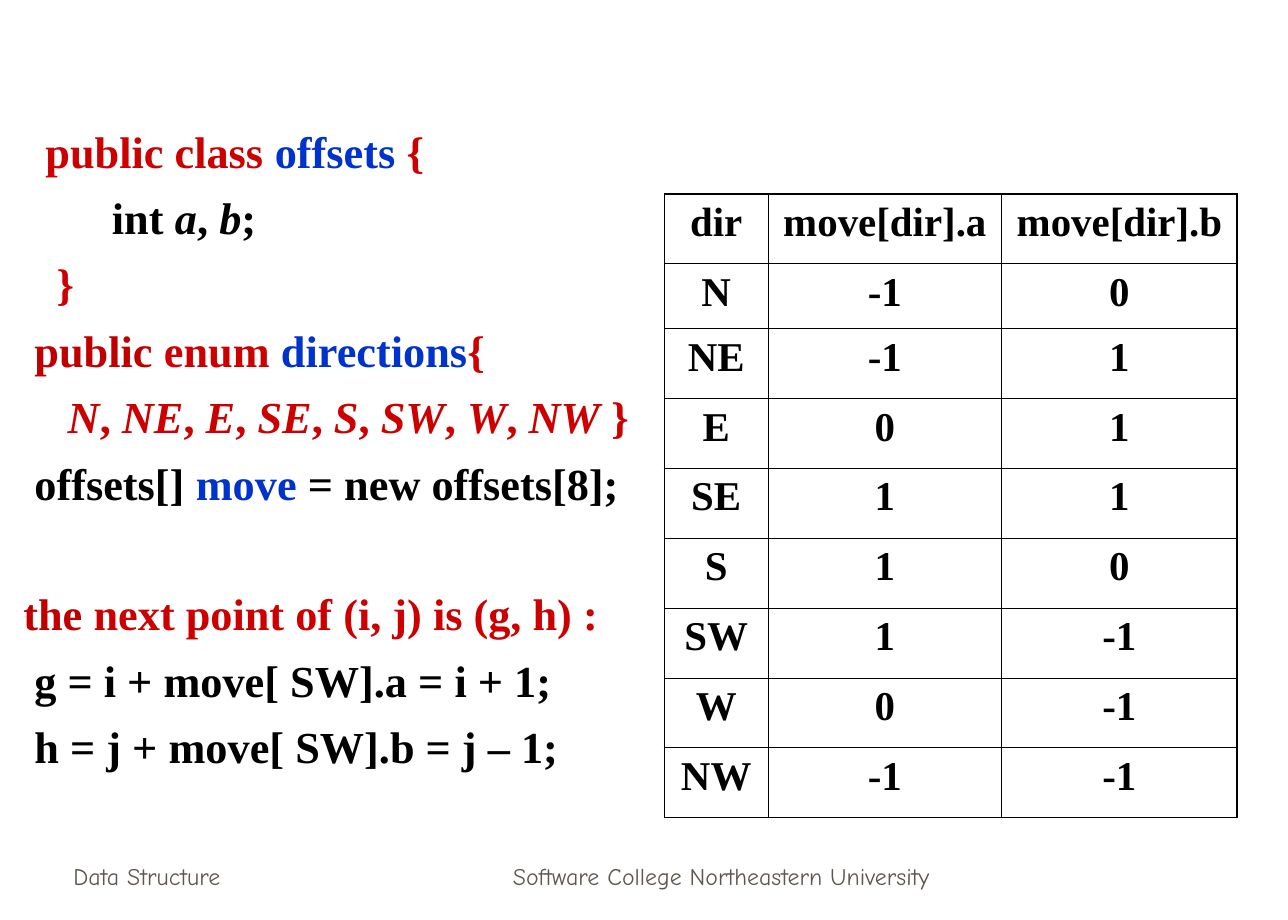
import lxml.etree
import pptx
import pptx.dml.color
import pptx.enum.text
import pptx.oxml.ns
import pptx.util

Pt = pptx.util.Pt
RGBColor = pptx.dml.color.RGBColor
PP_ALIGN = pptx.enum.text.PP_ALIGN
MSO_ANCHOR = pptx.enum.text.MSO_ANCHOR
qn = pptx.oxml.ns.qn

BLACK = RGBColor(0x00, 0x00, 0x00)
RED = RGBColor(0xCC, 0x00, 0x00)
DARK_RED = RGBColor(0xC0, 0x00, 0x00)
BLUE = RGBColor(0x00, 0x33, 0xCC)
GREY = RGBColor(0x5E, 0x57, 0x4E)
SERIF = "Times New Roman"
DIRECTIONS = ["N", "NE", "E", "SE", "S", "SW", "W", "NW"]
OFFSETS_A = [-1, -1, 0, 1, 1, 1, 0, -1]
OFFSETS_B = [0, 1, 1, 1, 0, -1, -1, -1]


def add_run(p, text, font, size, color, bold=False, italic=False):
    r = p.add_run()
    r.text = text
    r.font.name = font
    r.font.size = Pt(size)
    r.font.color.rgb = color
    r.font.bold = bold
    r.font.italic = italic


def add_border(cell, side, width):
    ln = lxml.etree.SubElement(cell._tc.get_or_add_tcPr(), qn("a:ln" + side), w=str(Pt(width)))
    fill = lxml.etree.SubElement(ln, qn("a:solidFill"))
    lxml.etree.SubElement(fill, qn("a:srgbClr"), val=str(BLACK))


prs = pptx.Presentation()
prs.slide_width = Pt(756)
prs.slide_height = Pt(540)
s = prs.slides.add_slide(prs.slide_layouts[1])
title = s.shapes.title._element
title.getparent().remove(title)

footers = [
    ("Data Structure", 36, 157.7, PP_ALIGN.LEFT),
    ("Software College Northeastern University", 258.5, 329.8, PP_ALIGN.CENTER),
]
for text, left, width, align in footers:
    sp = s.shapes.add_textbox(Pt(left), Pt(490.3), Pt(width), Pt(36))
    tf = sp.text_frame
    tf.word_wrap = True
    tf.vertical_anchor = MSO_ANCHOR.BOTTOM
    p = tf.paragraphs[0]
    p.alignment = align
    add_run(p, text, "Comic Neue", 14, GREY)

direction_runs = [("     ", RED, True)]
for name in DIRECTIONS:
    direction_runs += [(name, RED, True), (", ", RED, False)]
direction_runs[-1] = (" }", RED, False)

code_lines = [
    [("   public class ", RED, False), ("offsets", BLUE, False), (" {", RED, False)],
    [("         int ", BLACK, False), ("a", BLACK, True), (", ", BLACK, False),
     ("b", BLACK, True), (";", BLACK, False)],
    [("    }", RED, False)],
    [("  public ", DARK_RED, False), ("enum ", RED, False),
     ("directions", BLUE, False), ("{", RED, False)],
    direction_runs,
    [("  offsets[] ", BLACK, False), ("move", BLUE, False),
     (" = new offsets[8];", BLACK, False)],
    [("the ", DARK_RED, False), ("next point of (i, j) is (g, h) :", RED, False)],
    [("  g = i + move[ SW].a = i + 1;", BLACK, False)],
    [("  h = j + move[ SW].b = j – 1;", BLACK, False)],
]
EXPLANATION_LINE = 6

body = s.placeholders[1]
body.left, body.top, body.width, body.height = Pt(0), Pt(66.2), Pt(444.2), Pt(442.8)
tf = body.text_frame
tf.word_wrap = True
tf.auto_size = pptx.enum.text.MSO_AUTO_SIZE.NONE
tf.vertical_anchor = MSO_ANCHOR.TOP
tf.margin_top = Pt(6.5)
for i, runs in enumerate(code_lines):
    p = tf.add_paragraph() if i else tf.paragraphs[0]
    is_explanation = i == EXPLANATION_LINE
    pPr = p._p.get_or_add_pPr()
    pPr.set("marL", str(Pt(27)))
    pPr.set("indent", str(Pt(-20.5 if is_explanation else -27)))
    lxml.etree.SubElement(pPr, qn("a:buNone"))
    p.space_before = Pt(45.5 if is_explanation else 7.8 if i else 0)
    for text, color, italic in runs:
        add_run(p, text, SERIF, 26, color, True, italic)

rows = [("dir", "move[dir].a", "move[dir].b"), *zip(DIRECTIONS, OFFSETS_A, OFFSETS_B)]
column_widths = [60.8, 137.2, 138.2]
row_heights = [41, 38.2] + [41] * 7
table = s.shapes.add_table(
    len(rows), len(column_widths), Pt(390), Pt(113.8),
    Pt(sum(column_widths)), Pt(sum(row_heights)),
).table
table.first_row = False
table.horz_banding = False
for column, width in zip(table.columns, column_widths):
    column.width = Pt(width)
for row, height in zip(table.rows, row_heights):
    row.height = Pt(height)

for i, values in enumerate(rows):
    for j, value in enumerate(values):
        cell = table.cell(i, j)
        outer_sides = {
            "L": j == 0,
            "R": j == len(values) - 1,
            "T": i == 0,
            "B": i == len(rows) - 1,
        }
        for side, is_outer in outer_sides.items():
            add_border(cell, side, 1.08 if is_outer else 0.45)
        cell.fill.background()
        p = cell.text_frame.paragraphs[0]
        p.alignment = PP_ALIGN.CENTER
        add_run(p, str(value), SERIF, 24, BLACK, True)

prs.save("out.pptx")
